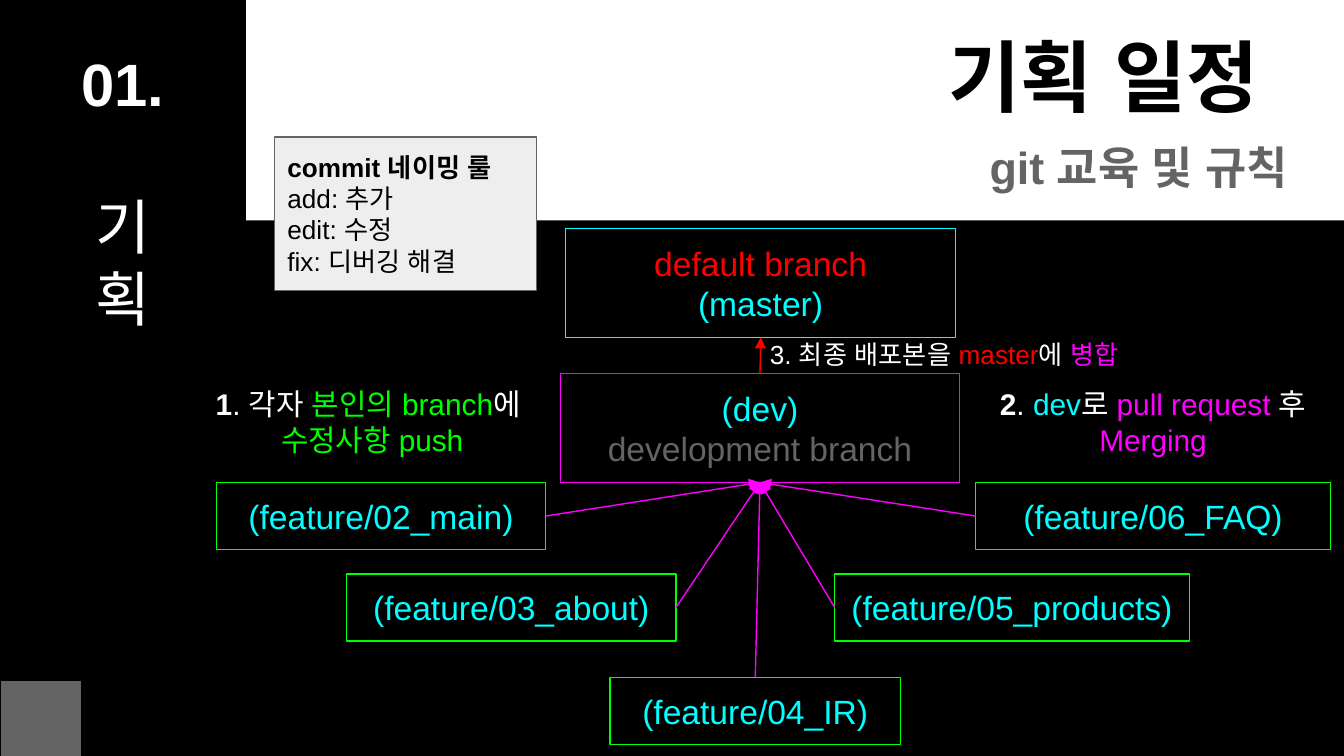
from lxml.etree import SubElement
from pptx import Presentation
from pptx.dml.color import RGBColor
from pptx.enum.shapes import MSO_CONNECTOR, MSO_SHAPE
from pptx.enum.text import MSO_ANCHOR, PP_ALIGN
from pptx.oxml.ns import qn
from pptx.util import Inches, Pt

HUES = {
    "black": "000000", "white": "FFFFFF", "gray": "646464", "pale": "EEEEEE",
    "red": "FF0000", "cyan": "00FFFF", "pink": "FF00FF", "green": "00FF00",
}
FACE = "Arial"
LEFT, MID, RIGHT = PP_ALIGN.LEFT, PP_ALIGN.CENTER, PP_ALIGN.RIGHT
TOP, WEST, LOW, EAST = range(4)  # connection sites of a rectangle


def hue(name):
    return RGBColor.from_string(HUES[name])


def write(par, text, size=18, color="white", bold=False):
    run = par.add_run()
    run.text = text
    font = run.font
    font.name, font.size, font.bold = FACE, Pt(size), bold
    font.color.rgb = hue(color)
    for tag in ("a:ea", "a:cs"):
        SubElement(font._rPr, qn(tag), typeface=FACE)


class Deck:
    pad = Inches(0.1)
    line = Pt(0.75)

    def __init__(self, wide):
        self.file = Presentation()
        self.file.slide_width = Inches(wide)
        self.file.slide_height = Inches(wide * 9 / 16)
        self.slide = self.file.slides.add_slide(self.file.slide_layouts[5])
        self.shapes = self.slide.shapes
        fill = self.slide.background.fill
        fill.solid()
        fill.fore_color.rgb = hue("black")

    def fill_text(self, shape, rows, size, align, anchor):
        """Each row is a list of (text, color[, bold]) runs."""
        frame = shape.text_frame
        frame.word_wrap = True
        frame.vertical_anchor = anchor
        frame.margin_left = frame.margin_right = self.pad
        frame.margin_top = frame.margin_bottom = self.pad
        for i, row in enumerate(rows):
            par = frame.add_paragraph() if i else frame.paragraphs[0]
            par.alignment = align
            for text, color, *bold in row:
                write(par, text, size=size, color=color, bold=bool(bold))

    def title(self, at, text, size):
        shape = self.shapes.title
        shape.left, shape.top, shape.width, shape.height = map(Inches, at)
        self.fill_text(shape, [[(text, "black", True)]], size, LEFT, MSO_ANCHOR.TOP)
        shape.element.getparent().append(shape.element)  # above the bands

    def text(self, at, rows, size, align=LEFT):
        shape = self.shapes.add_textbox(*map(Inches, at))
        self.fill_text(shape, rows, size, align, MSO_ANCHOR.TOP)
        return shape

    def box(self, at, fill, edge=None, rows=(), size=18, align=MID,
            anchor=MSO_ANCHOR.MIDDLE, alpha=None):
        shape = self.shapes.add_shape(MSO_SHAPE.RECTANGLE, *map(Inches, at))
        shape.shadow.inherit = False
        shape.fill.solid()
        shape.fill.fore_color.rgb = hue(fill)
        if alpha:
            tint = shape.element.spPr.find(".//" + qn("a:srgbClr"))
            SubElement(tint, qn("a:alpha"), val=str(alpha * 1000))
        if edge:
            shape.line.color.rgb = hue(edge)
            shape.line.width = self.line
        else:
            shape.line.fill.background()
        if rows:
            self.fill_text(shape, rows, size, align, anchor)
        return shape

    def arrow(self, start, out, end, into, color):
        link = self.shapes.add_connector(MSO_CONNECTOR.STRAIGHT, 0, 0, 0, 0)
        link.begin_connect(start, out)
        link.end_connect(end, into)
        link.line.color.rgb = hue(color)
        link.line.width = self.line
        props = link.element.spPr
        SubElement(props.find(qn("a:ln")), qn("a:tailEnd"), type="triangle")
        SubElement(props, qn("a:effectLst"))


def main():
    deck = Deck(10)

    # Bands, section label and title
    deck.box((0, 0, 10, 1.64), "white")
    deck.box((0, 0, 1.83, 5.62), "black")
    label = deck.text((0, 0.25, 1.83, 2.36),
                      [[("01.", "white", True)], [("기", "white")], [("획", "white")]],
                      32, MID)
    label.text_frame.paragraphs[1].space_before = Pt(38)
    deck.title((6.96, 0.11, 2.9, 0.91), "기획 일정", 42)
    deck.box((0, 5.06, 0.61, 0.57), "gray", "black")

    # Main branches
    master = deck.box((4.21, 1.7, 2.9, 0.81), "black", "cyan",
                      [[("default branch", "red")], [("(master)", "cyan")]])
    dev = deck.box((4.17, 2.78, 2.97, 0.81), "black", "pink",
                   [[("(dev)", "cyan")], [("development branch", "gray")]])

    # Feature branches, each with the side its arrow leaves from
    feats = [
        (1.61, 3.59, 2.45, "02_main", EAST),
        (2.58, 4.27, 2.45, "03_about", EAST),
        (4.54, 5.04, 2.16, "04_IR", TOP),
        (6.21, 4.27, 2.64, "05_products", WEST),
        (7.26, 3.59, 2.64, "06_FAQ", WEST),
    ]
    boxes = [(deck.box((x, y, w, 0.5), "black", "green",
                       [[(f"(feature/{name})", "cyan")]]), side)
             for x, y, w, name, side in feats]
    for feat, side in boxes:
        deck.arrow(feat, side, dev, LOW, "pink")

    # Steps
    deck.text((1.45, 2.77, 2.64, 0.74), [
        [("1", "white", True), (". 각자", "white"),
         (" 본인의 branch", "green"), ("에 ", "white")],
        [("수정사항 push", "green")],
    ], 16, MID)
    deck.box((7.28, 2.77, 2.6, 0.74), "black", rows=[
        [("2", "white", True), (". ", "white"), ("dev", "cyan"), ("로 ", "white"),
         ("pull request ", "pink"), ("후", "white")],
        [("Merging", "pink")],
    ], size=16, anchor=MSO_ANCHOR.TOP, alpha=79)
    deck.text((5.46, 0.94, 4.22, 0.61), [[("git 교육 및 규칙", "gray", True)]], 24, RIGHT)
    deck.arrow(dev, TOP, master, LOW, "red")
    deck.text((5.63, 2.42, 2.97, 0.44), [
        [("3. 최종 배포본을 ", "white"), ("master", "red"),
         ("에 ", "white"), ("병합", "pink")],
    ], 14)

    # Commit naming rules
    rules = ["add: 추가", "edit: 수정", "fix: 디버깅 해결"]
    deck.box((2.04, 1.02, 1.95, 1.14), "pale", "gray",
             [[("commit 네이밍 룰", "black", True)]] + [[(rule, "black")] for rule in rules],
             size=14, align=LEFT)

    deck.file.save("out.pptx")


if __name__ == "__main__":
    main()
